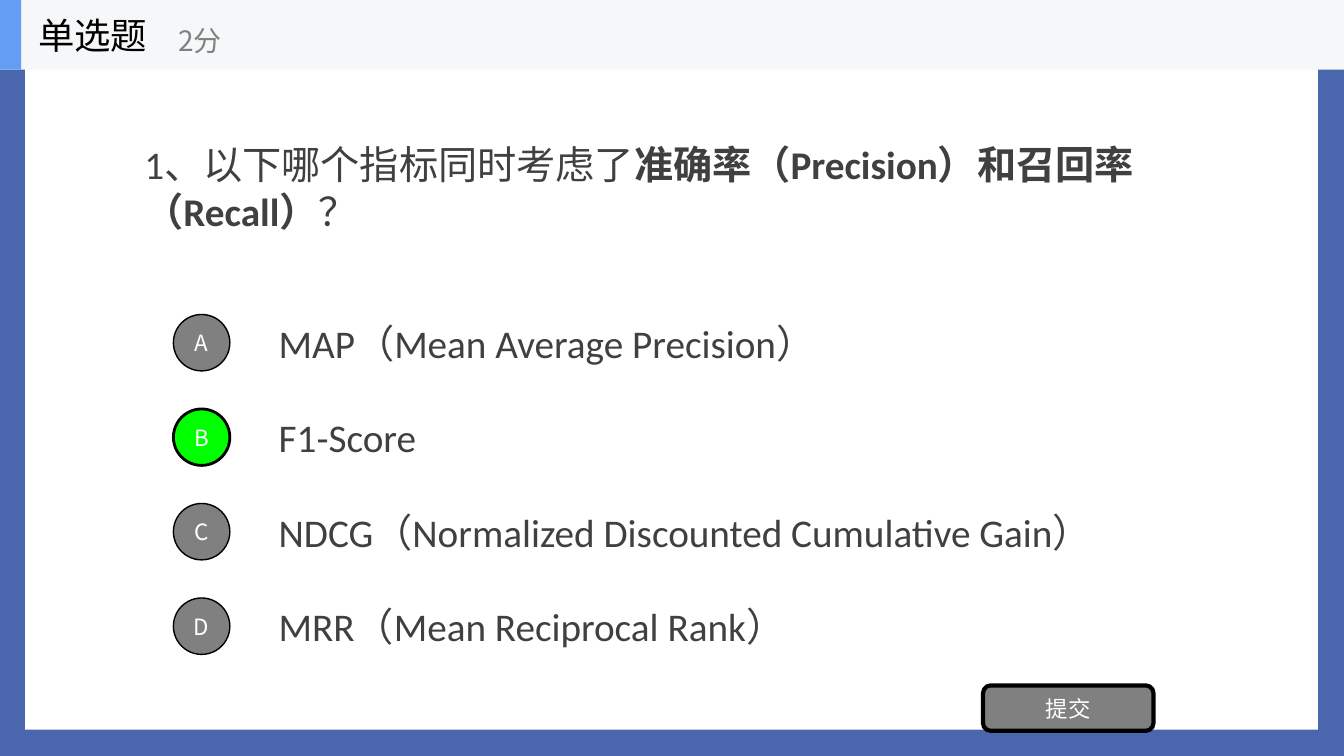
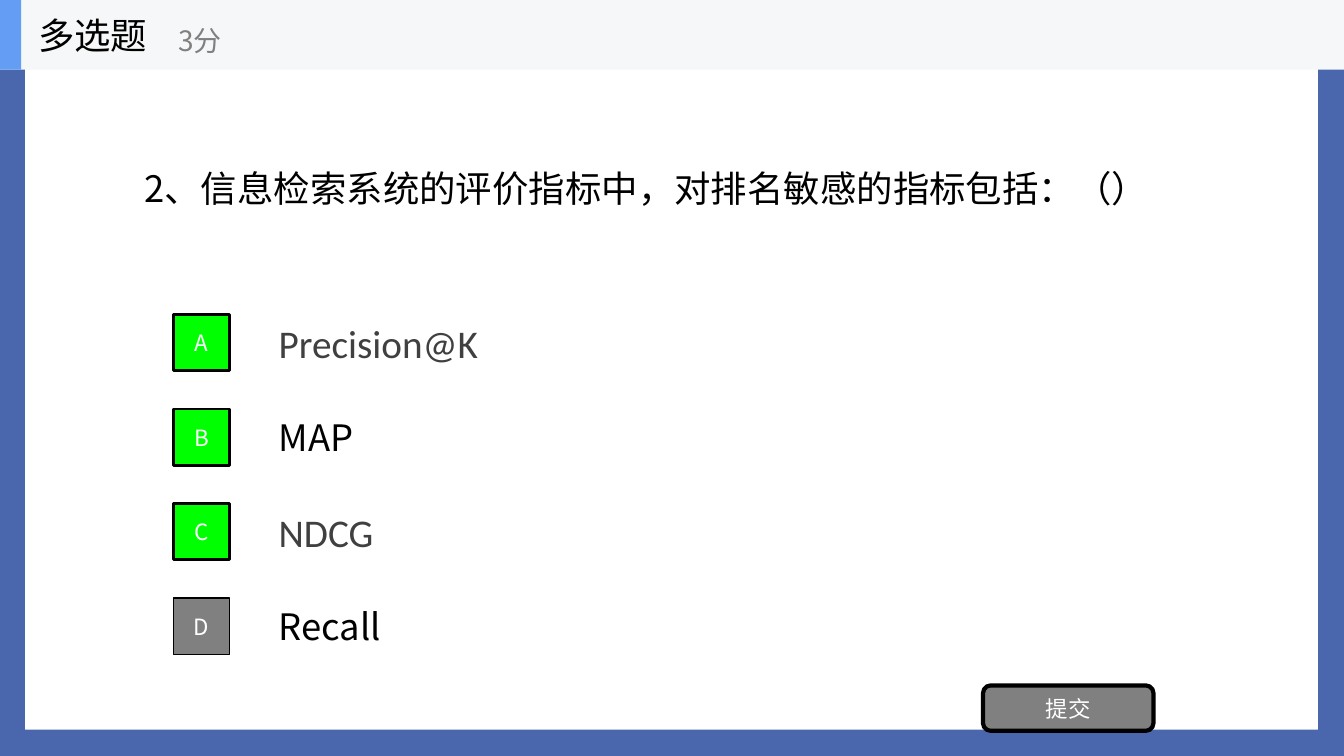
import dataclasses
import typing

import lxml.etree
import pptx
import pptx.dml.color
import pptx.enum.lang
import pptx.enum.shapes
import pptx.enum.text
import pptx.oxml.ns
import pptx.util

RGB = pptx.dml.color.RGBColor
KIND = pptx.enum.shapes.MSO_SHAPE
ALIGN = pptx.enum.text.PP_ALIGN

# Colours
BLUE = RGB(0x4A, 0x66, 0xAC)
SKY = RGB(0x63, 0x9E, 0xF4)
PALE = RGB(0xF6, 0xF7, 0xF8)
WHITE = RGB(0xFF, 0xFF, 0xFF)
BLACK = RGB(0, 0, 0)
DARK = RGB(0x40, 0x40, 0x40)
GRAY = RGB(0x80, 0x80, 0x80)
GREEN = RGB(0, 0xFF, 0)

# Slide size and shared lengths, in inches
WIDE, HIGH = 13.33, 7.5
BAND = 0.69
LEFT = WIDE / 10
STEP = HIGH / 8
FIRST = 3.05
ROW = 0.7
MARK = 0.56

# Text styles
CJK = "Noto Sans CJK SC"
Style = dict[str, typing.Any]


def style(size: float, color: RGB, name: str = CJK, bold: bool = False) -> Style:
    return {"size": pptx.util.Pt(size), "color": color, "name": name, "bold": bold}


BODY = style(28, DARK, "Calibri")
STRONG = style(28, DARK, "Calibri", True)
PLAIN = style(26, BLACK)
SCORE = style(20, GRAY)
LABEL = style(16, WHITE)


@dataclasses.dataclass(frozen=True)
class Box:
    left: float
    top: float
    width: float
    height: float

    def emu(self) -> list[int]:
        return [pptx.util.Inches(v) for v in dataclasses.astuple(self)]


@dataclasses.dataclass(frozen=True)
class Phrase:
    text: str
    look: Style = dataclasses.field(default_factory=lambda: BODY)


@dataclasses.dataclass(frozen=True)
class Choice:
    phrase: Phrase
    right: bool = False


@dataclasses.dataclass(frozen=True)
class Quiz:
    title: str
    score: str
    mark: KIND
    ask: list[Phrase]
    picks: list[Choice]


def write(shape: typing.Any, words: list[Phrase], align: ALIGN = ALIGN.LEFT) -> None:
    frame = shape.text_frame
    frame.word_wrap = True
    frame.vertical_anchor = pptx.enum.text.MSO_ANCHOR.MIDDLE
    para = frame.paragraphs[0]
    para.alignment = align
    for phrase in words:
        run = para.add_run()
        run.text = phrase.text
        run.font.language_id = pptx.enum.lang.MSO_LANGUAGE_ID.SIMPLIFIED_CHINESE
        for key, value in phrase.look.items():
            if key == "color":
                run.font.color.rgb = value
            else:
                setattr(run.font, key, value)
        # East Asian letters take their own font
        lxml.etree.SubElement(
            run._r.get_or_add_rPr(), pptx.oxml.ns.qn("a:ea"), typeface=CJK)


def add_text(shapes: typing.Any, box: Box, words: list[Phrase]) -> None:
    write(shapes.add_textbox(*box.emu()), words)


def add_block(shapes: typing.Any, box: Box, fill: RGB, kind: KIND = KIND.RECTANGLE,
              line: float = 0, label: str = "") -> None:
    shape = shapes.add_shape(kind, *box.emu())
    shape.shadow.inherit = False
    shape.fill.solid()
    shape.fill.fore_color.rgb = fill
    if line:
        shape.line.color.rgb = BLACK
        shape.line.width = pptx.util.Pt(line)
    else:
        shape.line.fill.background()
    if label:
        frame = shape.text_frame
        for side in ("left", "right", "top", "bottom"):
            setattr(frame, f"margin_{side}", 0)
        write(shape, [Phrase(label, LABEL)], ALIGN.CENTER)


def add_head(shapes: typing.Any, quiz: Quiz) -> None:
    group = shapes.add_group_shape().shapes
    add_block(group, Box(0, 0, WIDE, BAND), PALE)
    add_block(group, Box(0, 0, 0.21, BAND), SKY)
    add_text(group, Box(0.28, 0, 2.08, BAND), [Phrase(quiz.title, PLAIN)])
    add_text(group, Box(1.67, 0.12, 2.5, MARK), [Phrase(quiz.score, SCORE)])


def add_quiz(deck: typing.Any, quiz: Quiz) -> None:
    shapes = deck.slides.add_slide(deck.slide_layouts[6]).shapes
    add_block(shapes, Box(0.25, 0.27, 12.82, 6.97), WHITE)
    add_text(shapes, Box(LEFT, BAND, WIDE * 0.8, 2.34), quiz.ask)

    # Choices, one to a row
    for row, pick in enumerate(quiz.picks):
        top = FIRST + row * STEP
        add_text(shapes, Box(2 * LEFT, top, WIDE * 0.7, ROW), [pick.phrase])
        add_block(shapes, Box(1.72, top + (ROW - MARK) / 2, MARK, MARK),
                  GREEN if pick.right else GRAY, quiz.mark,
                  2 if pick.right else 1, "ABCD"[row])

    # Submit button and header
    add_block(shapes, Box(9.75, 6.8, 1.69, 0.45), GRAY,
              KIND.ROUNDED_RECTANGLE, 3, "提交")
    add_head(shapes, quiz)


QUIZZES = [
    Quiz("单选题", "2分", KIND.OVAL,
         [Phrase("1、以下哪个指标同时考虑了"),
          Phrase("准确率（Precision）和召回率（Recall）", STRONG),
          Phrase("？")],
         [Choice(Phrase("MAP（Mean Average Precision）")),
          Choice(Phrase("F1-Score"), True),
          Choice(Phrase("NDCG（Normalized Discounted Cumulative Gain）")),
          Choice(Phrase("MRR（Mean Reciprocal Rank）"))]),
    Quiz("多选题", "3分", KIND.RECTANGLE,
         [Phrase("2、信息检索系统的评价指标中，对排名敏感的指标包括：（）", PLAIN)],
         [Choice(Phrase("Precision@K"), True),
          Choice(Phrase("MAP", PLAIN), True),
          Choice(Phrase("NDCG"), True),
          Choice(Phrase("Recall", PLAIN))]),
]


def main() -> None:
    deck = pptx.Presentation()
    deck.slide_width = pptx.util.Inches(WIDE)
    deck.slide_height = pptx.util.Inches(HIGH)
    ground = deck.slide_master.background.fill
    ground.solid()
    ground.fore_color.rgb = BLUE
    for quiz in QUIZZES:
        add_quiz(deck, quiz)
    deck.save("out.pptx")


if __name__ == "__main__":
    main()
